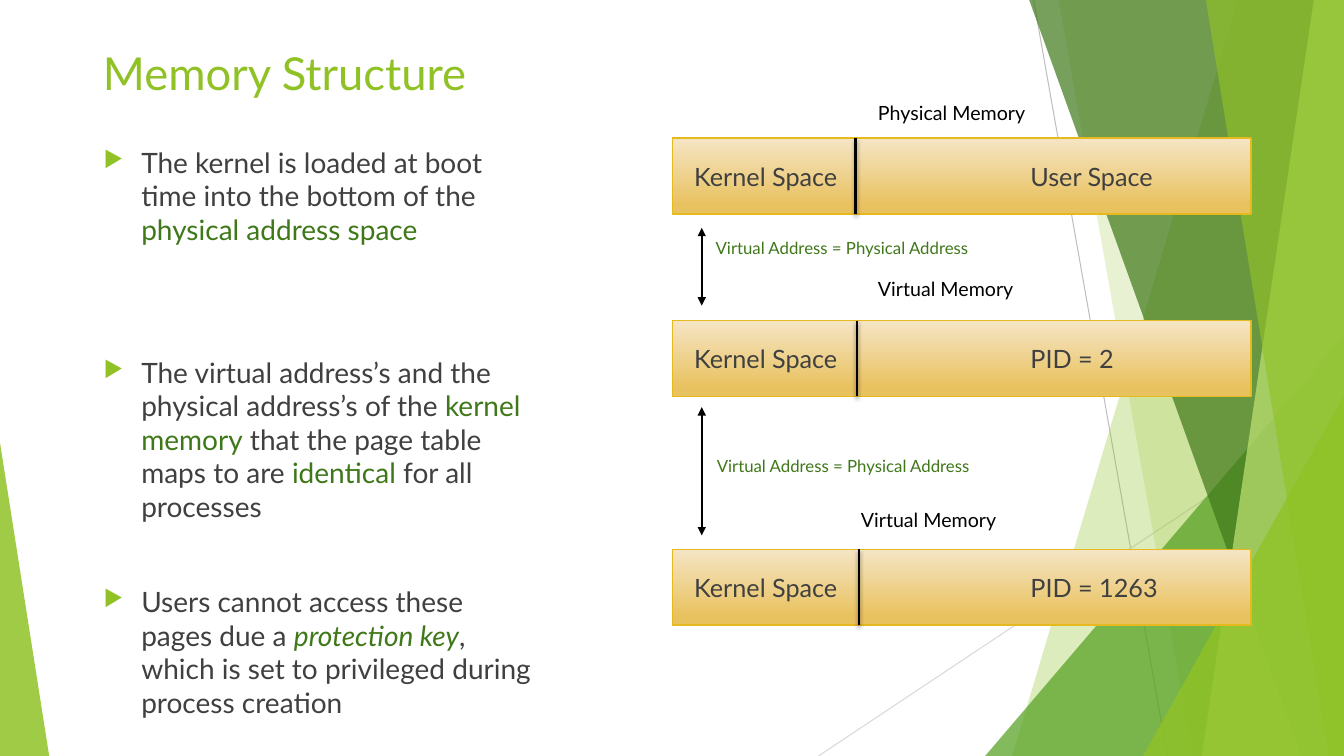
from dataclasses import dataclass

from lxml import etree
from pptx import Presentation
from pptx.dml.color import RGBColor
from pptx.enum.shapes import MSO_CONNECTOR, MSO_SHAPE
from pptx.enum.text import MSO_ANCHOR, MSO_AUTO_SIZE, PP_ALIGN
from pptx.oxml.ns import qn
from pptx.util import Cm, Pt

STRAIGHT = MSO_CONNECTOR.STRAIGHT
RECTANGLE = MSO_SHAPE.RECTANGLE
TRIANGLE = MSO_SHAPE.ISOSCELES_TRIANGLE
TOP, MIDDLE = MSO_ANCHOR.TOP, MSO_ANCHOR.MIDDLE
LEFT = PP_ALIGN.LEFT
NO_AUTOFIT = MSO_AUTO_SIZE.NONE

SLIDE_WIDTH, SLIDE_HEIGHT = 33.86, 19.05
BAR_LEFT, BAR_WIDTH, BAR_HEIGHT = 16.94, 14.58, 1.91
ARROW_X = 17.68
LABEL_WIDTH = 7.57


@dataclass(frozen=True)
class Theme:
    font: str = "Lato"
    lime: str = "90C226"
    green: str = "54A021"
    forest: str = "3F7819"
    pale_lime: str = "C0E474"
    ink: str = "404040"
    black: str = "000000"
    bar_light: str = "F5E5C5"
    bar_dark: str = "E9C260"
    bar_edge: str = "E6B91E"
    hairline_dark: str = "BFBFBF"
    hairline_light: str = "D9D9D9"
    title: float = 32.4
    body: float = 20
    bar: float = 18
    caption: float = 14
    mapping: float = 12


THEME = Theme()


@dataclass(frozen=True)
class Facet:
    top_x: float
    bottom_x: float
    colour: str
    opacity: int


@dataclass(frozen=True)
class Shard:
    left: float
    top: float
    width: float
    apex: float
    colour: str
    opacity: int


@dataclass(frozen=True)
class Phrase:
    text: str
    colour: str = THEME.ink
    italic: bool = False


@dataclass(frozen=True)
class Point:
    phrases: tuple[Phrase, ...]
    space_before: float


@dataclass(frozen=True)
class Memory:
    caption: str
    caption_left: float
    caption_top: float
    top: float
    divider_x: float
    content: str


@dataclass(frozen=True)
class Mapping:
    start_y: float
    end_y: float
    label_left: float
    label_top: float


BACKDROP = (
    Facet(31.19, 25.5, THEME.lime, 30),
    Facet(26.67, 30.05, THEME.lime, 20),
    Shard(24.82, 8.46, 9.04, 1, THEME.green, 72),
    Facet(25.93, 32.79, THEME.forest, 70),
    Facet(33.1, 30.28, THEME.pale_lime, 70),
    Facet(30.38, 33.48, THEME.lime, 65),
    Shard(28.8, 9.98, 5.06, 1, THEME.lime, 80),
    Shard(0, 11.15, 1.24, 0, THEME.lime, 85),
)

POINTS = (
    Point((Phrase("The kernel is loaded at boot time into the bottom of the "),
           Phrase("physical address space", THEME.forest)), 10),
    Point((Phrase("The virtual address’s and the physical address’s of the "),
           Phrase("kernel memory", THEME.forest),
           Phrase(" that the page table maps to are "),
           Phrase("identical", THEME.forest),
           Phrase(" for all processes")), 78),
    Point((Phrase("Users cannot access these pages due a "),
           Phrase("protection key", THEME.forest, True),
           Phrase(", which is set to privileged during process creation")), 44),
)

MEMORIES = (
    Memory("Physical Memory", 21.87, 2.41, 3.48, 21.56, "User Space"),
    Memory("Virtual Memory", 21.87, 6.86, 8.08, 21.59, "PID = 2"),
    Memory("Virtual Memory", 21.44, 12.67, 13.84, 21.64, "PID = 1263"),
)

MAPPINGS = (Mapping(5.74, 7.7, 17.78, 5.87), Mapping(10.26, 13.49, 17.81, 11.35))


def add_node(parent, tag: str, **attributes):
    return etree.SubElement(parent, qn(tag), {k: str(v) for k, v in attributes.items()})


def write(paragraph, text: str, *, size: float, colour: str, italic: bool = False) -> None:
    run = paragraph.add_run()
    run.text = text
    run.font.name = THEME.font
    run.font.size = Pt(size)
    run.font.italic = italic
    run.font.color.rgb = RGBColor.from_string(colour)


def prepare_frame(shape, anchor=TOP):
    frame = shape.text_frame
    frame.word_wrap = True
    frame.auto_size = NO_AUTOFIT
    frame.vertical_anchor = anchor
    frame.paragraphs[0].alignment = LEFT
    return frame


def add_label(slide, text: str, left: float, top: float, size: float, colour: str) -> None:
    height = size * 0.06
    box = slide.shapes.add_textbox(Cm(left), Cm(top), Cm(LABEL_WIDTH), Cm(height))
    write(prepare_frame(box).paragraphs[0], text, size=size, colour=colour)


def add_line(slide, start: tuple[float, float], end: tuple[float, float], colour: str,
             width: float, *, arrows: bool = False, shadow: bool = False) -> None:
    line = slide.shapes.add_connector(STRAIGHT, *map(Cm, start + end))
    line.line.color.rgb = RGBColor.from_string(colour)
    line.line.width = Pt(width)
    properties = line.element.spPr
    if arrows:
        for tag in ("a:headEnd", "a:tailEnd"):
            add_node(properties.find(qn("a:ln")), tag, type="triangle")
    effects = add_node(properties, "a:effectLst")
    if shadow:
        outer = add_node(effects, "a:outerShdw", blurRad=Pt(3), dist=Pt(2),
                         dir=5400000, rotWithShape=0)
        add_node(add_node(outer, "a:srgbClr", val=THEME.black), "a:alpha", val=35000)


def add_backdrop_piece(slide, piece: Facet | Shard) -> None:
    if isinstance(piece, Facet):
        outline = slide.shapes.build_freeform(Cm(piece.top_x), 0)
        corners = ((SLIDE_WIDTH, 0), (SLIDE_WIDTH, SLIDE_HEIGHT), (piece.bottom_x, SLIDE_HEIGHT))
        outline.add_line_segments([(Cm(x), Cm(y)) for x, y in corners], close=True)
        shape = outline.convert_to_shape()
    else:
        shape = slide.shapes.add_shape(TRIANGLE, Cm(piece.left), Cm(piece.top),
                                       Cm(piece.width), Cm(SLIDE_HEIGHT - piece.top))
        shape.adjustments[0] = piece.apex
    shape.shadow.inherit = False
    shape.line.fill.background()
    shape.fill.solid()
    shape.fill.fore_color.rgb = RGBColor.from_string(piece.colour)
    fill_colour = shape.element.spPr.find(qn("a:solidFill")).find(qn("a:srgbClr"))
    add_node(fill_colour, "a:alpha", val=piece.opacity * 1000)


def add_points(slide) -> None:
    box = slide.shapes.add_textbox(Cm(2.36), Cm(3.53), Cm(11.53), Cm(14.71))
    frame = prepare_frame(box)
    for index, point in enumerate(POINTS):
        paragraph = frame.add_paragraph() if index else frame.paragraphs[0]
        paragraph.space_before = Pt(point.space_before)
        layout = paragraph._p.get_or_add_pPr()
        layout.set("marL", str(Cm(0.95)))
        layout.set("indent", str(-Cm(0.95)))
        add_node(add_node(layout, "a:buClr"), "a:srgbClr", val=THEME.lime)
        add_node(layout, "a:buSzPct", val=80000)
        add_node(layout, "a:buChar", char="▶")
        for phrase in point.phrases:
            write(paragraph, phrase.text, size=THEME.body, colour=phrase.colour,
                  italic=phrase.italic)


def add_memory(slide, memory: Memory) -> None:
    bar = slide.shapes.add_shape(RECTANGLE, Cm(BAR_LEFT), Cm(memory.top),
                                 Cm(BAR_WIDTH), Cm(BAR_HEIGHT))
    bar.shadow.inherit = False
    bar.line.color.rgb = RGBColor.from_string(THEME.bar_edge)
    bar.line.width = Pt(1)
    bar.fill.gradient()
    bar.fill.gradient_angle = 270
    shades = ((0, THEME.bar_light), (0.88, THEME.bar_dark))
    for stop, (position, colour) in zip(bar.fill.gradient_stops, shades):
        stop.position = position
        stop.color.rgb = RGBColor.from_string(colour)
    frame = prepare_frame(bar, MIDDLE)
    frame.margin_left = Cm(0.55)
    paragraph = frame.paragraphs[0]
    tabs = add_node(paragraph._p.get_or_add_pPr(), "a:tabLst")
    add_node(tabs, "a:tab", pos=Cm(8.47), algn="l")
    write(paragraph, f"Kernel Space\t{memory.content}", size=THEME.bar, colour=THEME.ink)
    add_line(slide, (memory.divider_x, memory.top),
             (memory.divider_x, memory.top + BAR_HEIGHT), THEME.black, 2, shadow=True)
    add_label(slide, memory.caption, memory.caption_left, memory.caption_top,
              THEME.caption, THEME.black)


def main() -> None:
    deck = Presentation()
    deck.slide_width, deck.slide_height = Cm(SLIDE_WIDTH), Cm(SLIDE_HEIGHT)
    slide = deck.slides.add_slide(deck.slide_layouts[5])
    add_line(slide, (26.04, 0), (29.41, SLIDE_HEIGHT), THEME.hairline_dark, 0.75)
    add_line(slide, (SLIDE_WIDTH, 10.24), (20.62, SLIDE_HEIGHT), THEME.hairline_light, 0.75)
    for piece in BACKDROP:
        add_backdrop_piece(slide, piece)
    title = slide.shapes.title
    title.left, title.top, title.width, title.height = Cm(2.34), Cm(1.02), Cm(29.21), Cm(1.4)
    write(prepare_frame(title).paragraphs[0], "Memory Structure",
          size=THEME.title, colour=THEME.lime)
    add_points(slide)
    for memory in MEMORIES:
        add_memory(slide, memory)
    for mapping in MAPPINGS:
        add_line(slide, (ARROW_X, mapping.start_y), (ARROW_X, mapping.end_y),
                 THEME.black, 1.5, arrows=True)
        add_label(slide, "Virtual Address = Physical Address", mapping.label_left,
                  mapping.label_top, THEME.mapping, THEME.forest)
    deck.save("out.pptx")


if __name__ == "__main__":
    main()
